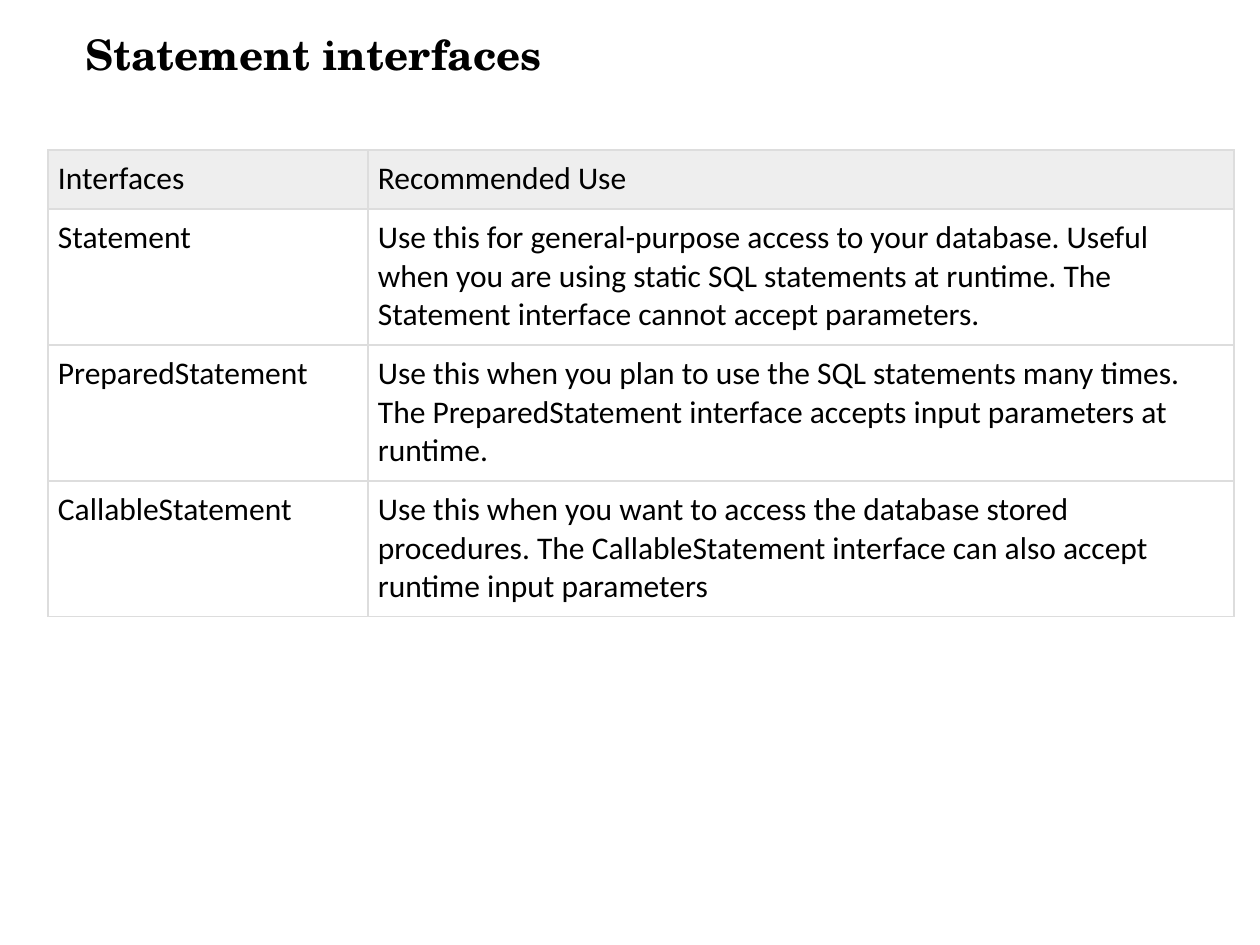
import pptx
import pptx.dml.color
import pptx.enum.text
import pptx.oxml
import pptx.oxml.ns
import pptx.util

EMU_PER_PIXEL = 914400 / 126
COLORS = {"text": "000000", "header": "EEEEEE", "border": "DDDDDD"}


def px(length):
    return pptx.util.Emu(round(length * EMU_PER_PIXEL))


def color(name):
    return pptx.dml.color.RGBColor.from_string(COLORS[name])


class SlideBuilder:
    title_font = "TeX Gyre Schola"
    body_font = "Calibri"
    cell_margin = 10
    border_width = 0.75

    def __init__(self, slide):
        self.slide = slide

    def set_text(self, frame, text, font_name, size, bold=False):
        frame.word_wrap = True
        paragraph = frame.paragraphs[0]
        paragraph.text = text
        font = paragraph.font
        font.name, font.size, font.bold = font_name, pptx.util.Pt(size), bold
        font.color.rgb = color("text")

    def title(self, text, left, top, width, height):
        heading = self.slide.shapes.add_textbox(px(left), px(top), px(width), px(height))
        self.set_text(heading.text_frame, text, self.title_font, 24, bold=True)

    def border(self, cell):
        properties = cell._tc.get_or_add_tcPr()
        for position, side in enumerate(("lnL", "lnR", "lnT", "lnB")):
            line = pptx.oxml.parse_xml(
                f'<a:{side} {pptx.oxml.ns.nsdecls("a")} w="{pptx.util.Pt(self.border_width)}">'
                f'<a:solidFill><a:srgbClr val="{COLORS["border"]}"/></a:solidFill></a:{side}>')
            properties.insert(position, line)

    def table(self, rows, left, top, widths, heights):
        table = self.slide.shapes.add_table(
            len(rows), len(widths), px(left), px(top), px(sum(widths)), px(sum(heights))).table
        table.horz_banding = False
        table.first_row = False
        for column, width in zip(table.columns, widths):
            column.width = px(width)
        for row_index, (row, height) in enumerate(zip(rows, heights)):
            table.rows[row_index].height = px(height)
            for column_index, text in enumerate(row):
                cell = table.cell(row_index, column_index)
                self.set_text(cell.text_frame, text, self.body_font, 18)
                cell.margin_left = cell.margin_right = px(self.cell_margin)
                cell.margin_top = cell.margin_bottom = px(self.cell_margin)
                if row_index == 0:
                    cell.fill.solid()
                    cell.fill.fore_color.rgb = color("header")
                else:
                    cell.fill.background()
                self.border(cell)


presentation = pptx.Presentation()
presentation.slide_width = px(1260)
presentation.slide_height = px(945)
builder = SlideBuilder(presentation.slides.add_slide(presentation.slide_layouts[6]))

# Heading
builder.title("Statement interfaces", 73, 22, 1154, 59)

# Interfaces and when to use them
interfaces = [
    ("Interfaces", "Recommended Use"),
    ("Statement",
     "Use this for general-purpose access to your database. Useful when you are using "
     "static SQL statements at runtime. The Statement interface cannot accept parameters."),
    ("PreparedStatement",
     "Use this when you plan to use the SQL statements many times. "
     "The PreparedStatement interface accepts input parameters at runtime."),
    ("CallableStatement",
     "Use this when you want to access the database stored procedures. "
     "The CallableStatement interface can also accept runtime input parameters"),
]
builder.table(interfaces, 48, 150, widths=[320, 866], heights=[59] + [136] * 3)

presentation.save("out.pptx")
